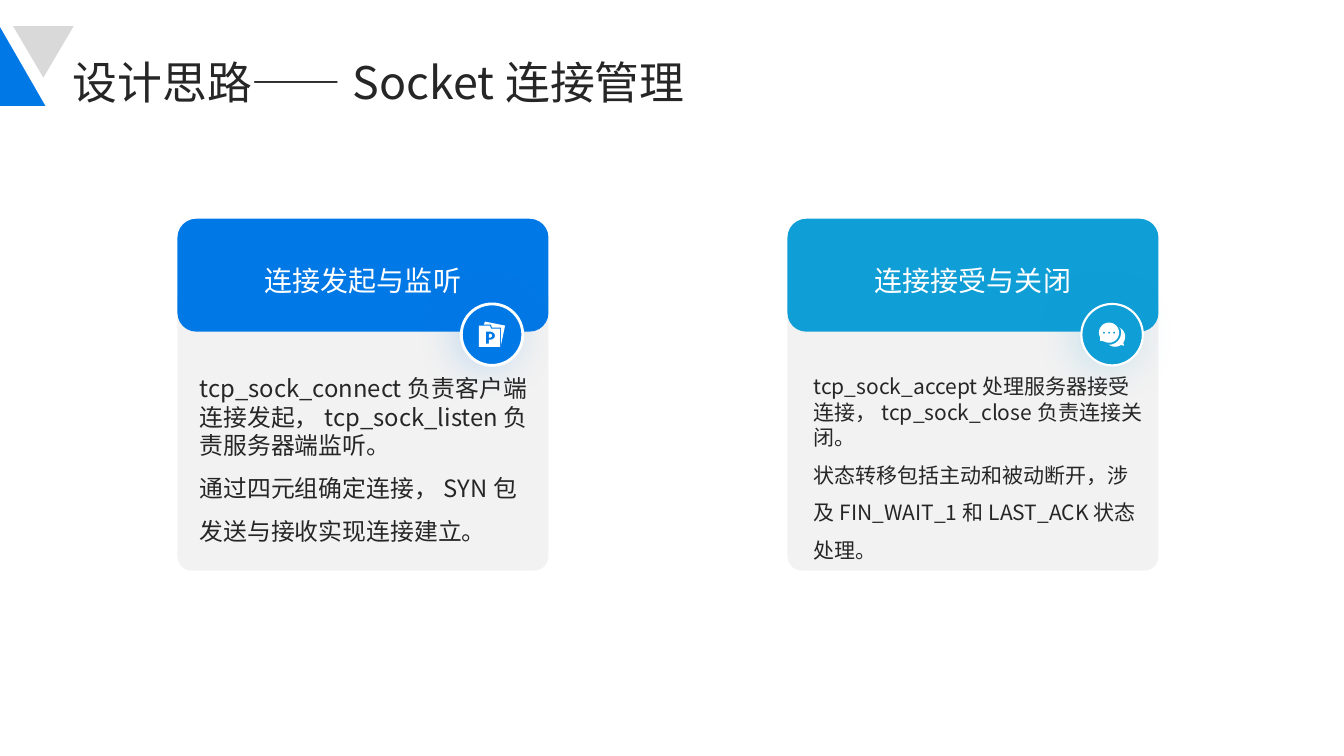
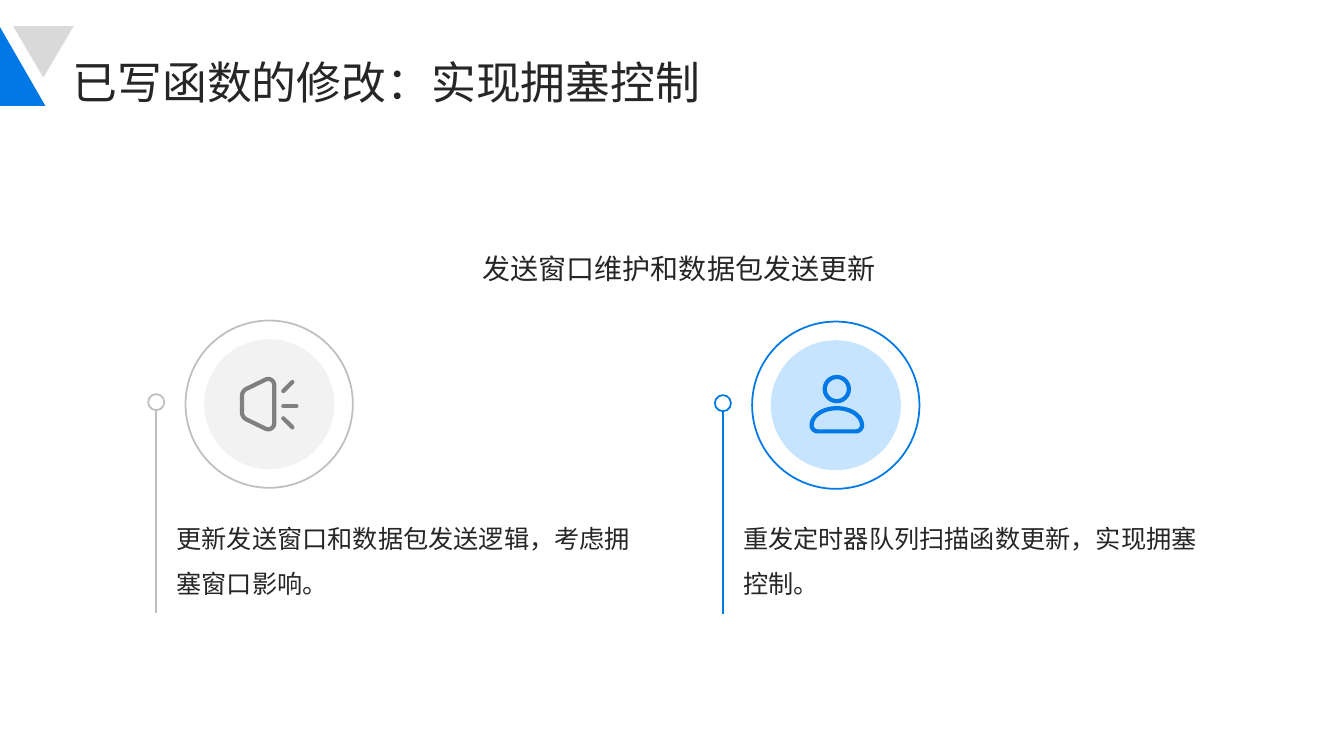
from dataclasses import dataclass
from math import cos, radians, sin

from lxml.etree import SubElement
from pptx import Presentation
from pptx.dml.color import RGBColor
from pptx.enum.shapes import MSO_CONNECTOR, MSO_SHAPE
from pptx.enum.text import MSO_ANCHOR as ANCHOR, PP_ALIGN as ALIGN
from pptx.oxml.ns import qn
from pptx.util import Inches, Pt


@dataclass(frozen=True)
class Theme:
    font: str = "Noto Sans CJK SC"
    ink: str = "262626"
    white: str = "FFFFFF"
    blue: str = "0078E6"
    cyan: str = "0F9ED5"
    sky: str = "C7E4FF"
    panel: str = "F2F2F2"
    light: str = "D9D9D9"
    silver: str = "BFBFBF"
    gray: str = "808080"
    title: int = 32
    heading: int = 20
    body: int = 18
    stroke: float = 1.25
    icon_stroke: float = 3


def arc(cx, cy, rx, ry, start, end, steps=32):
    """Points along an ellipse, angles clockwise in degrees."""
    angles = [radians(start + (end - start) * i / steps) for i in range(steps + 1)]
    return [(cx + rx * cos(a), cy + ry * sin(a)) for a in angles]


class Deck:
    def __init__(self, theme):
        self.t = theme
        self.prs = Presentation()
        self.prs.slide_width, self.prs.slide_height = Inches(13.33), Inches(7.5)

    # Slide frame: title and corner triangles
    def slide(self, title):
        t = self.t
        self.s = self.prs.slides.add_slide(self.prs.slide_layouts[6])
        self.area = self.s.shapes
        self.text(0.72, 0.53, 11.88, 0.51, [(title, 1.1)], t.title, anchor=ANCHOR.MIDDLE)
        self.shape(MSO_SHAPE.ISOSCELES_TRIANGLE, -0.46, 0.26, 0.91, 0.79, t.blue)
        sp = self.shape(MSO_SHAPE.ISOSCELES_TRIANGLE, 0.13, 0.26, 0.6, 0.51, t.light)
        sp.rotation = 180

    # Basic elements
    def paint(self, sp, fill=None, line=None, width=None):
        sp.shadow.inherit = False
        if fill:
            sp.fill.solid()
            sp.fill.fore_color.rgb = RGBColor.from_string(fill)
        else:
            sp.fill.background()
        if line:
            self.stroke(sp, line, width or self.t.stroke)
        else:
            sp.line.fill.background()
        return sp

    def stroke(self, sp, color, width, rounded=False):
        sp.line.fill.solid()
        sp.line.color.rgb = RGBColor.from_string(color)
        sp.line.width = Pt(width)
        if rounded:
            ln = sp._element.spPr.find(qn("a:ln"))
            ln.set("cap", "rnd")
            SubElement(ln, qn("a:round"))

    def shape(self, kind, x, y, w, h, fill=None, line=None, width=None):
        sp = self.area.add_shape(kind, Inches(x), Inches(y), Inches(w), Inches(h))
        return self.paint(sp, fill, line, width)

    def circle(self, cx, cy, d, fill=None, line=None, width=None):
        return self.shape(MSO_SHAPE.OVAL, cx - d / 2, cy - d / 2, d, d, fill, line, width)

    def line(self, x1, y1, x2, y2, color, width, rounded=False):
        c = self.area.add_connector(MSO_CONNECTOR.STRAIGHT, Inches(x1), Inches(y1),
                                    Inches(x2), Inches(y2))
        self.stroke(c, color, width, rounded)
        SubElement(c._element.spPr, qn("a:effectLst"))

    def outline(self, x, y, contours, fill=None, line=None):
        """Closed contours, with points relative to (x, y)."""
        outlines = [[(Inches(x + px), Inches(y + py)) for px, py in c] for c in contours]
        fb = self.area.build_freeform(*outlines[0][0], scale=1.0)
        for i, pts in enumerate(outlines):
            if i:
                fb.move_to(*pts[0])
            fb.add_line_segments(pts[1:], close=True)
        sp = self.paint(fb.convert_to_shape(), fill)
        if line:
            self.stroke(sp, line, self.t.icon_stroke, rounded=True)

    def fill_text(self, tf, paras, size, color, align):
        for i, (words, spacing) in enumerate(paras):
            p = tf.add_paragraph() if i else tf.paragraphs[0]
            p.text, p.alignment, p.line_spacing = words, align, spacing
            f = p.font
            f.size, f.name = Pt(size), self.t.font
            f.color.rgb = RGBColor.from_string(color)
            def_rpr = p._p.pPr.find(qn("a:defRPr"))
            SubElement(def_rpr, qn("a:ea")).set("typeface", self.t.font)

    def text(self, x, y, w, h, paras, size, align=ALIGN.LEFT, anchor=ANCHOR.TOP):
        tf = self.s.shapes.add_textbox(Inches(x), Inches(y), Inches(w), Inches(h)).text_frame
        tf.word_wrap, tf.vertical_anchor = True, anchor
        tf.margin_left = tf.margin_right = tf.margin_top = tf.margin_bottom = 0
        self.fill_text(tf, paras, size, self.t.ink, align)

    def glow(self, sp, color):
        effects = sp._element.spPr.find(qn("a:effectLst"))
        shadow = SubElement(effects, qn("a:outerShdw"), blurRad=str(Pt(30)), dist=str(Pt(5)),
                            dir=str(171 * 60000), algn="ctr", rotWithShape="0")
        clr = SubElement(shadow, qn("a:srgbClr"), val=color)
        SubElement(clr, qn("a:alpha"), val="20000")

    # Icons, each drawn around a centre
    def parking_icon(self, cx, cy):
        x, y = cx - 0.13, cy - 0.13
        front = [(0, 0.04), (0.11, 0.04), (0.12, 0.07), (0.21, 0.07), (0.21, 0.25), (0, 0.25)]
        letter = [(0.07, 0.1), *arc(0.11, 0.14, 0.05, 0.04, -90, 90), (0.1, 0.18),
                  (0.1, 0.22), (0.07, 0.22)]
        bowl = [(0.1, 0.13), *arc(0.11, 0.14, 0.02, 0.02, -90, 90), (0.1, 0.16)]
        back = [(0.06, 0), (0.26, 0.04), (0.22, 0.23), (0.22, 0.06), (0.13, 0.06),
                (0.12, 0.03), (0.05, 0.03)]
        self.outline(x, y, [front, letter, bowl, back], self.t.white)

    def chat_icon(self, cx, cy):
        x, y = cx - 0.13, cy - 0.12
        bubble = [*arc(0.1, 0.1, 0.1, 0.1, 150, 480), (0.01, 0.18)]
        dots = [arc(0.1 + dx, 0.1, 0.01, 0.01, 0, 360) for dx in (-0.05, 0, 0.05)]
        behind = [*arc(0.16, 0.14, 0.1, 0.1, -66, 36), (0.25, 0.23),
                  *arc(0.16, 0.14, 0.1, 0.1, 56, 130), *arc(0.1, 0.1, 0.12, 0.12, 88, -24)]
        self.outline(x, y, [bubble, *dots, behind], self.t.white)

    def speaker_icon(self, cx, cy):
        color = self.t.gray
        horn = [*arc(-0.01, -0.19, 0.06, 0.06, -120, 0, 8),
                *arc(-0.01, 0.19, 0.06, 0.06, 0, 120, 8),
                *arc(-0.19, 0.08, 0.08, 0.08, 120, 180, 8),
                *arc(-0.19, -0.08, 0.08, 0.08, 180, 240, 8)]
        self.outline(cx, cy, [horn], line=color)
        for x1, y1, x2, y2 in ((0.14, -0.13, 0.23, -0.22), (0.14, 0.02, 0.27, 0.02),
                               (0.14, 0.14, 0.23, 0.23)):
            self.line(cx + x1, cy + y1, cx + x2, cy + y2, color, self.t.icon_stroke, rounded=True)

    def person_icon(self, cx, cy):
        color = self.t.blue
        self.circle(cx + 0.01, cy - 0.16, 0.24, line=color, width=self.t.icon_stroke)
        body = [*arc(0.01, 0.2, 0.25, 0.17, 180, 360), *arc(0.2, 0.2, 0.06, 0.06, 0, 90, 8),
                *arc(-0.18, 0.2, 0.06, 0.06, 90, 180, 8)]
        self.outline(cx, cy, [body], line=color)

    # Card with a coloured header and a round badge
    def card(self, x, color, heading, paras, size, inset, badge_dx, border, icon):
        t = self.t
        panel = self.shape(MSO_SHAPE.ROUNDED_RECTANGLE, x, 2.84, 3.68, 2.82, t.panel)
        panel.adjustments[0] = 0.05
        head = self.shape(MSO_SHAPE.ROUNDED_RECTANGLE, x, 2.17, 3.68, 1.12, color)
        head.text_frame.word_wrap = True
        head.text_frame.vertical_anchor = ANCHOR.MIDDLE
        self.fill_text(head.text_frame, [(heading, 1.3)], t.heading, t.white, ALIGN.CENTER)
        cx, cy = x + badge_dx, 3.32
        self.glow(self.circle(cx, cy, 0.61, color, t.white, border), color)
        icon(cx, cy)
        self.text(x + inset, 3.71, 3.3, 1.7, paras, size)

    # Pinned column: stem, dot, ringed icon and text
    def column(self, x, y, color, disc, icon, words):
        self.line(x, y, x, y + 2.09, color, 1.5)
        self.circle(x, y, 0.16, self.t.white, color)
        self.area = self.s.shapes.add_group_shape().shapes
        cx, cy = x + 1.12, y + 0.02
        self.circle(cx, cy, 1.29, disc)
        self.circle(cx, cy, 1.66, line=color)
        icon(cx, cy)
        self.area = self.s.shapes
        self.text(x + 0.2, 5.04, 4.62, 1.1, [(words, 1.5)], self.t.body)


def main():
    t = Theme()
    d = Deck(t)

    # Slide 1: connection management
    d.slide("设计思路——Socket连接管理")
    d.card(1.76, t.blue, "连接发起与监听",
           [("tcp_sock_connect负责客户端连接发起，tcp_sock_listen负责服务器端监听。", 1.0),
            ("通过四元组确定连接，SYN包发送与接收实现连接建立。", 1.5)],
           17, 0.22, 3.12, 2, d.parking_icon)
    d.card(7.81, t.cyan, "连接接受与关闭",
           [("tcp_sock_accept处理服务器接受连接，tcp_sock_close负责连接关闭。", 1.0),
            ("状态转移包括主动和被动断开，涉及FIN_WAIT_1和LAST_ACK状态处理。", 1.5)],
           15, 0.26, 3.22, 1.5, d.chat_icon)

    # Slide 2: congestion control
    d.slide("已写函数的修改：实现拥塞控制")
    d.text(1.48, 1.43, 10.51, 1.4, [("发送窗口维护和数据包发送更新", 1.5)], t.heading,
           ALIGN.CENTER, ANCHOR.BOTTOM)
    d.column(1.55, 3.99, t.silver, t.panel, d.speaker_icon,
             "更新发送窗口和数据包发送逻辑，考虑拥塞窗口影响。")
    d.column(7.17, 4.0, t.blue, t.sky, d.person_icon,
             "重发定时器队列扫描函数更新，实现拥塞控制。")

    d.prs.save("out.pptx")


if __name__ == "__main__":
    main()
